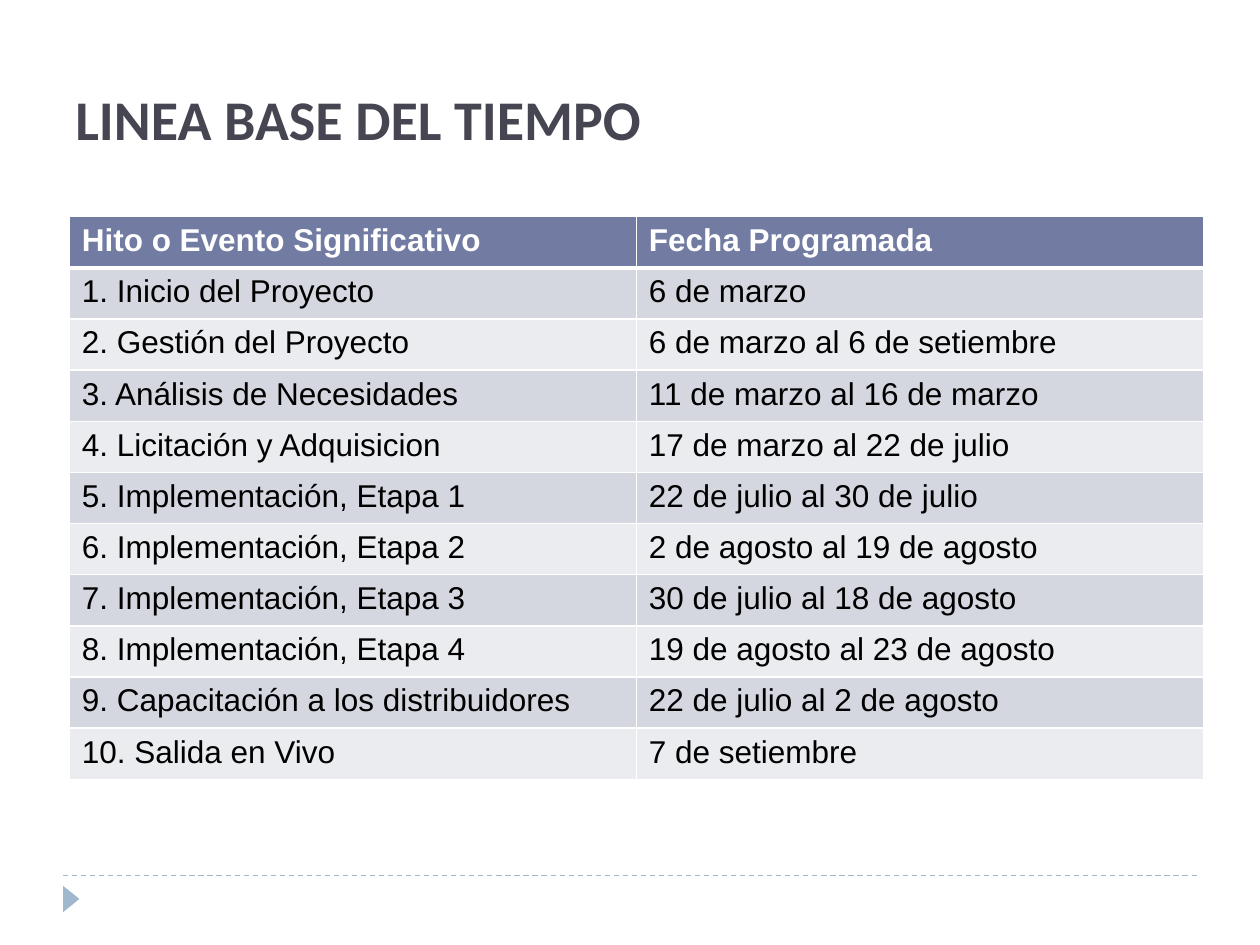
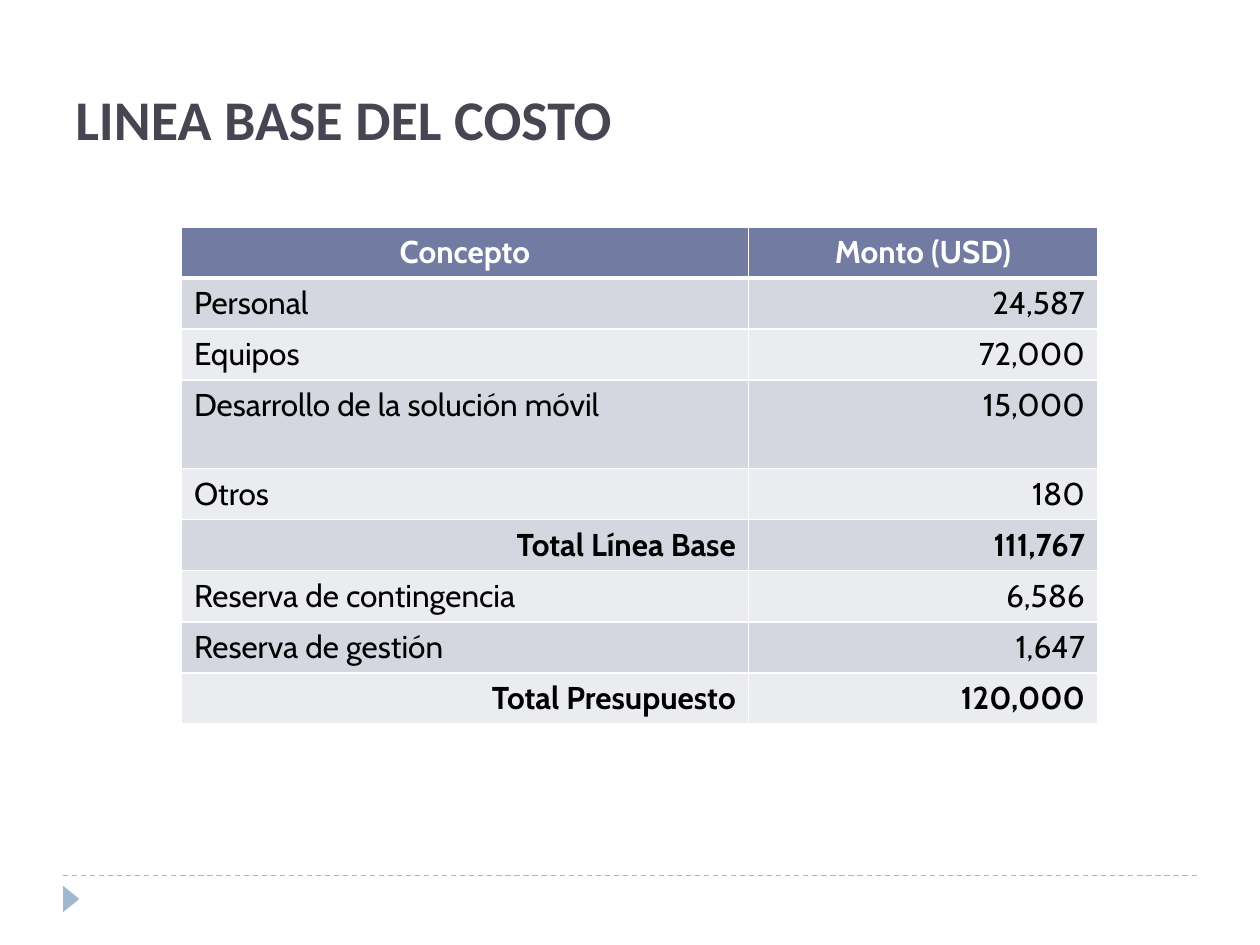
from dataclasses import dataclass

from lxml import etree
from pptx import Presentation
from pptx import util as u
from pptx.dml.color import RGBColor
from pptx.enum import dml, shapes, text
from pptx.oxml import ns

Inches = u.Inches


@dataclass(frozen=True)
class Theme:
    title_color: str = "464653"
    accent: str = "9FB8CD"
    header: str = "727CA3"
    bands: tuple = ("D5D7E0", "EBECF0")
    white: str = "FFFFFF"
    black: str = "000000"
    title_font: str = "Calibri"
    title_size: int = 32
    table_size: int = 18
    thin: int = 1
    thick: int = 3


THEME = Theme()
LEFT, CENTER, RIGHT = (text.PP_ALIGN.LEFT, text.PP_ALIGN.CENTER,
                       text.PP_ALIGN.RIGHT)


def rgb(value):
    return RGBColor.from_string(value)


def write(para, words, color, **formats):
    span = para.add_run()
    span.text = words
    span.font.color.rgb = rgb(color)
    for name, value in formats.items():
        setattr(span.font, name, value)


def add_title(page, box, words):
    left, top, width, height = box
    frame = page.shapes.add_textbox(Inches(left), Inches(top), Inches(width),
                                    Inches(height)).text_frame
    frame.word_wrap = True
    frame.vertical_anchor = text.MSO_ANCHOR.BOTTOM
    write(frame.paragraphs[0], words, THEME.title_color, bold=True,
          name=THEME.title_font, size=u.Pt(THEME.title_size))


def add_footer(page, box):
    left, top, width = box
    # Dashed rule
    rule = page.shapes.add_connector(
        shapes.MSO_CONNECTOR.STRAIGHT, Inches(left), Inches(top),
        Inches(left + width), Inches(top))
    rule.line.color.rgb = rgb(THEME.accent)
    rule.line.width = u.Pt(0.75)
    rule.line.dash_style = dml.MSO_LINE.DASH
    etree.SubElement(rule._element.spPr, ns.qn("a:effectLst"))
    # Marker pointing right
    marker = page.shapes.add_shape(
        shapes.MSO_SHAPE.ISOSCELES_TRIANGLE, Inches(left - 0.04),
        Inches(top + 0.12), Inches(0.21), Inches(0.13))
    marker.rotation = 90
    marker.shadow.inherit = False
    marker.fill.solid()
    marker.fill.fore_color.rgb = rgb(THEME.accent)
    marker.line.fill.background()


def set_borders(cell, top, bottom):
    properties = cell._tc.get_or_add_tcPr()
    sides = {"lnL": THEME.thin, "lnR": THEME.thin, "lnT": top, "lnB": bottom}
    for place, (side, points) in enumerate(sides.items()):
        line = etree.Element(ns.qn(f"a:{side}"), w=str(u.Pt(points)))
        fill = etree.SubElement(line, ns.qn("a:solidFill"))
        etree.SubElement(fill, ns.qn("a:srgbClr"), val=THEME.white)
        properties.insert(place, line)


def add_table(page, box, rows, widths, heights, font, header_align=LEFT,
              value_align=LEFT):
    left, top = box
    table = page.shapes.add_table(
        len(rows), len(widths), Inches(left), Inches(top),
        Inches(sum(widths)), Inches(sum(heights))).table
    table.horz_banding = False
    for column, width in zip(table.columns, widths):
        column.width = Inches(width)
    for r, (values, height) in enumerate(zip(rows, heights)):
        table.rows[r].height = Inches(height)
        header = r == 0
        total = values[0].startswith("Total")
        fill = THEME.header if header else THEME.bands[(r - 1) % 2]
        for c, words in enumerate(values):
            cell = table.cell(r, c)
            cell.fill.solid()
            cell.fill.fore_color.rgb = rgb(fill)
            set_borders(cell, THEME.thick if r == 1 else THEME.thin,
                        THEME.thick if header else THEME.thin)
            para = cell.text_frame.paragraphs[0]
            if header:
                para.alignment = header_align
            else:
                para.alignment = value_align if c or total else LEFT
            write(para, words, THEME.white if header else THEME.black,
                  bold=header or total, name=font,
                  size=u.Pt(THEME.table_size))


def add_page(deck, title):
    page = deck.slides.add_slide(deck.slide_layouts[6])
    add_footer(page, (0.5, 6.95, 9))
    add_title(page, (0.5, 0.17, 9, 1.08), title)
    return page


MILESTONES = [
    ("Inicio del Proyecto", "6 de marzo"),
    ("Gestión del Proyecto", "6 de marzo al 6 de setiembre"),
    ("Análisis de Necesidades", "11 de marzo al 16 de marzo"),
    ("Licitación y Adquisicion", "17 de marzo al 22 de julio"),
    ("Implementación, Etapa 1", "22 de julio al 30 de julio"),
    ("Implementación, Etapa 2", "2 de agosto al 19 de agosto"),
    ("Implementación, Etapa 3", "30 de julio al 18 de agosto"),
    ("Implementación, Etapa 4", "19 de agosto al 23 de agosto"),
    ("Capacitación a los distribuidores", "22 de julio al 2 de agosto"),
    ("Salida en Vivo", "7 de setiembre"),
]
COSTS = [
    ("Concepto", "Monto (USD)"),
    ("Personal", "24,587"),
    ("Equipos", "72,000"),
    ("Desarrollo de la solución móvil", "15,000"),
    ("Otros", "180"),
    ("Total Línea Base", "111,767"),
    ("Reserva de contingencia", "6,586"),
    ("Reserva de gestión", "1,647"),
    ("Total Presupuesto", "120,000"),
]
ROW_HEIGHT = 0.406

deck = Presentation()
deck.slide_width, deck.slide_height = Inches(10), Inches(7.5)

# Time baseline
schedule = [("Hito o Evento Significativo", "Fecha Programada")]
schedule += [(f"{number}. {name}", date)
             for number, (name, date) in enumerate(MILESTONES, 1)]
add_table(add_page(deck, "LINEA BASE DEL TIEMPO"), (0.55, 1.72), schedule,
          (4.5, 4.5), [ROW_HEIGHT] * len(schedule), "Arial")

# Cost baseline, with a taller row for the mobile solution
cost_heights = [ROW_HEIGHT] * len(COSTS)
cost_heights[3] = 0.7
add_table(add_page(deck, "LINEA BASE DEL COSTO"), (1.44, 1.8), COSTS,
          (4.5, 2.77), cost_heights, "Cabin", CENTER, RIGHT)

deck.save("out.pptx")
